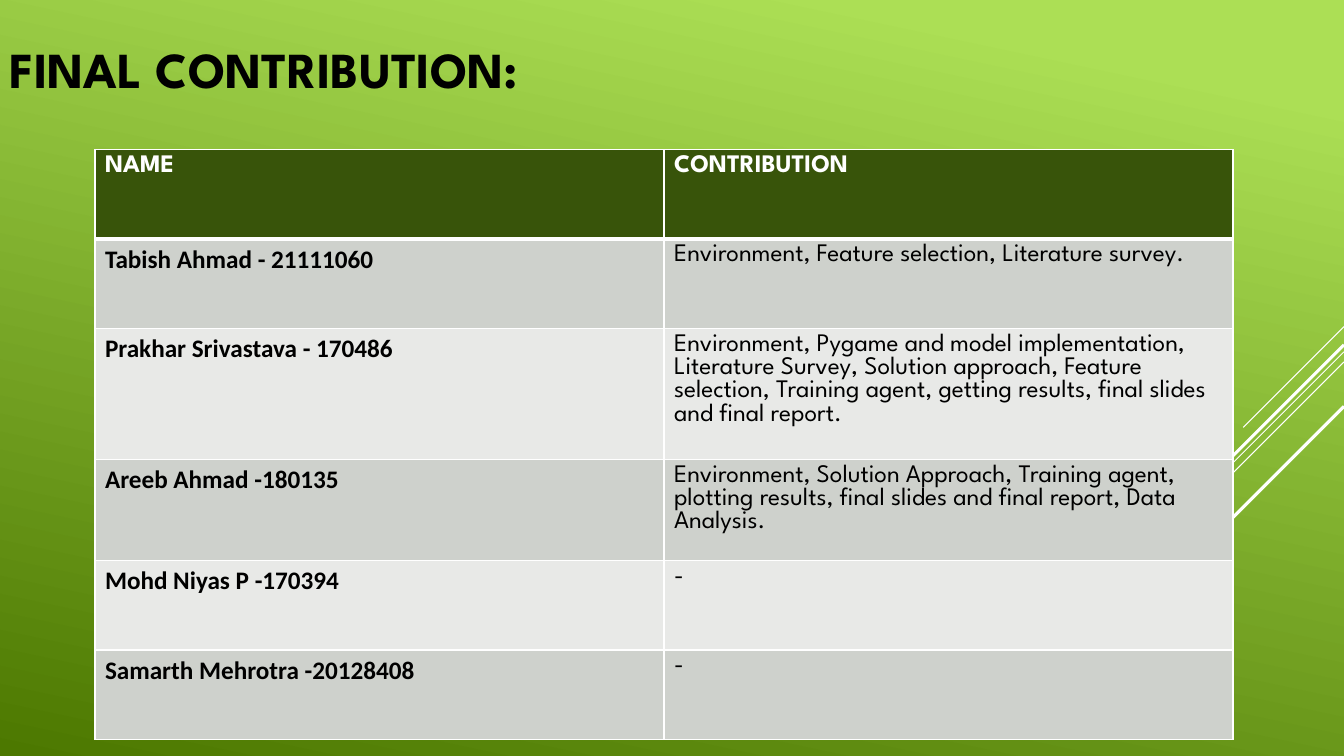
import pptx
import pptx.dml.color
import pptx.enum.shapes
import pptx.enum.text
import pptx.oxml.ns
import pptx.util
from lxml import etree

Pt = pptx.util.Pt
qn = pptx.oxml.ns.qn

COLORS = {
    "light": "ACDF55",
    "dark": "4C7800",
    "white": "FFFFFF",
    "black": "000000",
    "header": "38540A",
    "odd_row": "CED1CC",
    "even_row": "E8E9E7",
}

HEADING_FONT = "League Spartan"
NAME_FONT = "Calibri"
TITLE_FORMAT = {"name": HEADING_FONT, "size": Pt(36), "bold": True}
HEADER_FORMAT = {"name": HEADING_FONT, "size": Pt(18), "bold": True}
NAME_FORMAT = {"name": NAME_FONT, "size": Pt(18), "bold": True}
WORK_FORMAT = {"name": HEADING_FONT, "size": Pt(18), "bold": False}

CONTRIBUTIONS = [
    ("NAME", "CONTRIBUTION"),
    ("Tabish Ahmad - 21111060", "Environment, Feature selection, Literature survey."),
    ("Prakhar Srivastava - 170486",
     "Environment, Pygame and model implementation, Literature Survey, Solution approach, "
     "Feature selection, Training agent, getting results, final slides and final report."),
    ("Areeb Ahmad -180135",
     "Environment, Solution Approach, Training agent, plotting results, "
     "final slides and final report, Data Analysis."),
    ("Mohd Niyas P -170394", "-"),
    ("Samarth Mehrotra -20128408", "-"),
]

DIAGONALS = [
    (0, 72, 0.75),
    (18, 234.7, 0.75),
    (25.2, 149.4, 0.75),
    (13, 137.5, 2.25),
    (57, 100, 2.25),
]


def rgb(name):
    return pptx.dml.color.RGBColor.from_string(COLORS[name])


def write_text(text_frame, text, color, font_format):
    run = text_frame.paragraphs[0].add_run()
    run.text = text
    for attribute, value in font_format.items():
        setattr(run.font, attribute, value)
    run.font.color.rgb = rgb(color)


def paint_background(slide):
    fill = slide.background.fill
    fill.gradient()
    fill.gradient_angle = 258
    for stop, color, position in zip(fill.gradient_stops, ("light", "dark"), (0.1, 1)):
        stop.color.rgb = rgb(color)
        stop.position = position


def add_diagonals(slide, right, top):
    for drop, reach, weight in DIAGONALS:
        start = top + drop
        connector = slide.shapes.add_connector(
            pptx.enum.shapes.MSO_CONNECTOR.STRAIGHT,
            Pt(right), Pt(start), Pt(right - reach), Pt(start + reach))
        connector.line.color.rgb = rgb("white")
        connector.line.width = Pt(weight)
        etree.SubElement(connector._element.spPr, qn("a:effectLst"))


def add_title(slide, left, top, width, height):
    shape = slide.shapes.add_textbox(Pt(left), Pt(top), Pt(width), Pt(height))
    text_frame = shape.text_frame
    text_frame.word_wrap = True
    text_frame.vertical_anchor = pptx.enum.text.MSO_ANCHOR.BOTTOM
    write_text(text_frame, "FINAL CONTRIBUTION:", "black", TITLE_FORMAT)


def set_borders(cell, weights):
    properties = cell._tc.get_or_add_tcPr()
    for side, weight in weights.items():
        line = etree.SubElement(properties, qn("a:ln" + side), w=str(int(Pt(weight))))
        fill = etree.SubElement(line, qn("a:solidFill"))
        etree.SubElement(fill, qn("a:srgbClr"), val=COLORS["white"])


def add_contribution_table(slide, left, top, width, height):
    table = slide.shapes.add_table(
        len(CONTRIBUTIONS), 2, Pt(left), Pt(top), Pt(width), Pt(height)).table
    for row_index, entries in enumerate(CONTRIBUTIONS):
        is_header = row_index == 0
        row_fill = "header" if is_header else ("even_row", "odd_row")[row_index % 2]
        text_color = "white" if is_header else "black"
        formats = (HEADER_FORMAT, HEADER_FORMAT) if is_header else (NAME_FORMAT, WORK_FORMAT)
        borders = {"L": 1, "R": 1, "T": 3 if row_index == 1 else 1, "B": 3 if is_header else 1}
        for column_index, text in enumerate(entries):
            cell = table.cell(row_index, column_index)
            set_borders(cell, borders)
            cell.fill.solid()
            cell.fill.fore_color.rgb = rgb(row_fill)
            write_text(cell.text_frame, text, text_color, formats[column_index])


def build_contribution_slide(presentation):
    slide = presentation.slides.add_slide(presentation.slide_layouts[6])
    paint_background(slide)
    add_diagonals(slide, 960, 233.3)
    add_title(slide, 0, 0, 672, 74.2)
    add_contribution_table(slide, 67.8, 107, 813, 383.4)


def main():
    presentation = pptx.Presentation()
    presentation.slide_width = Pt(960)
    presentation.slide_height = Pt(540)
    build_contribution_slide(presentation)
    presentation.save("out.pptx")


if __name__ == "__main__":
    main()
